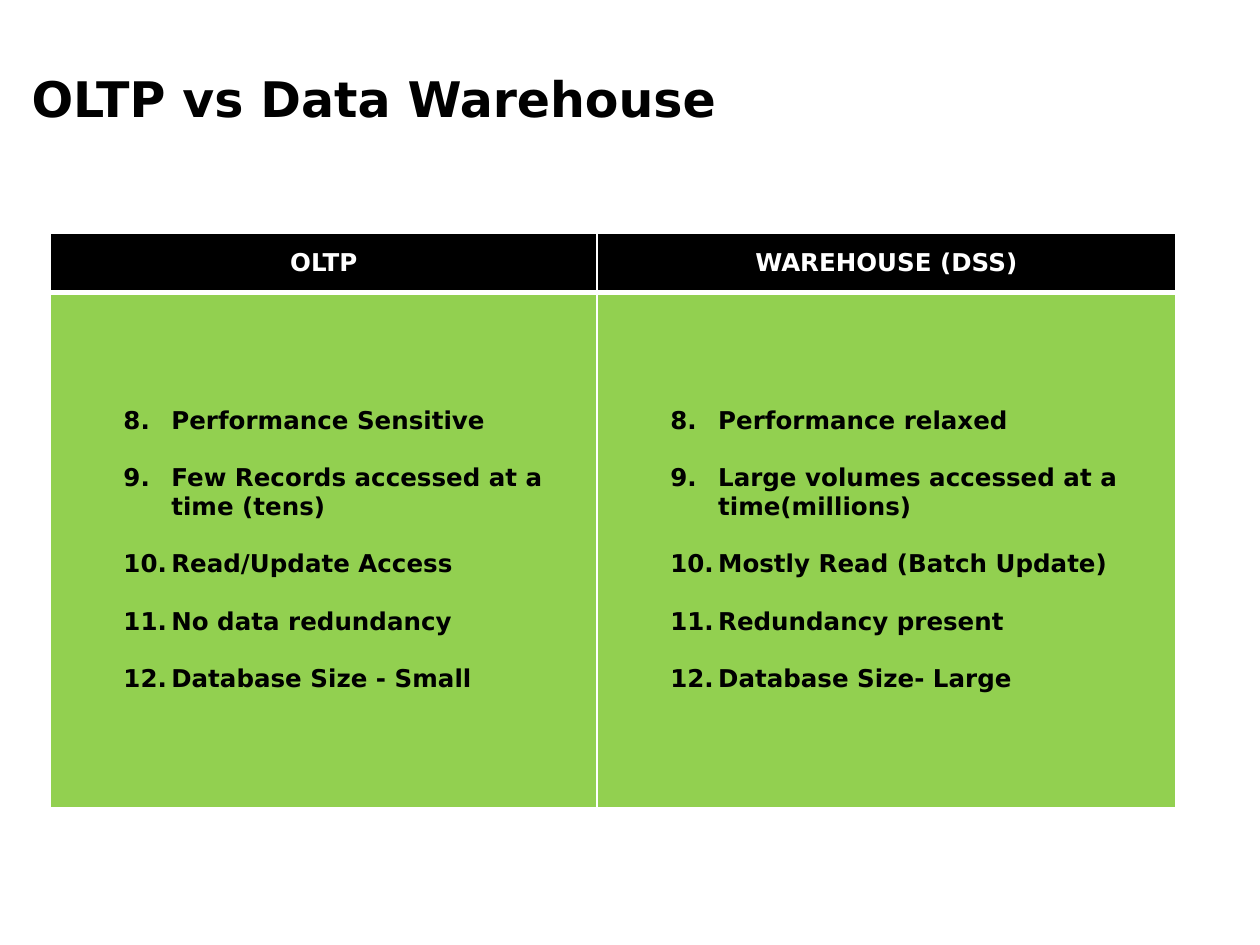
from lxml import etree
from pptx import Presentation
from pptx.dml.color import RGBColor
from pptx.enum.text import MSO_ANCHOR, MSO_AUTO_SIZE, PP_ALIGN
from pptx.oxml.ns import qn
from pptx.util import Emu, Inches, Pt

MIDDLE, TOP = MSO_ANCHOR.MIDDLE, MSO_ANCHOR.TOP
CENTER, LEFT = PP_ALIGN.CENTER, PP_ALIGN.LEFT
NO_AUTOFIT = MSO_AUTO_SIZE.NONE

FONT = "DejaVu Sans"
COLORS = {"ink": "000000", "paper": "FFFFFF", "body": "92D050"}
FIRST_NUMBER = 8

COLUMNS = {
    "OLTP": [
        "Performance Sensitive",
        "Few Records accessed at a time (tens)",
        "Read/Update Access",
        "No data redundancy",
        "Database Size - Small",
    ],
    "WAREHOUSE (DSS)": [
        "Performance relaxed",
        "Large volumes accessed at a time(millions)",
        "Mostly Read (Batch Update)",
        "Redundancy present",
        "Database Size- Large",
    ],
}
COLUMN_SHARES = (0.486, 0.514)
ROW_SHARES = (0.103, 0.897)


def format_text(para, size, color, align):
    para.alignment = align
    for span in para.runs:
        span.font.name = FONT
        span.font.size = Pt(size)
        span.font.bold = True
        span.font.color.rgb = RGBColor.from_string(COLORS[color])


def number_para(para):
    """Give the paragraph an automatic number with a hanging indent."""
    props = para._p.get_or_add_pPr()
    props.set("lvl", "1")
    props.set("marL", str(Inches(0.88)))
    props.set("indent", str(Inches(-0.38)))
    etree.SubElement(props, qn("a:buFont"), typeface="+mj-lt")
    etree.SubElement(props, qn("a:buAutoNum"), type="arabicPeriod",
                     startAt=str(FIRST_NUMBER))


def style_cell(cell, fill, heavy_side):
    """White borders, heavier on the side facing the other row."""
    props = cell._tc.get_or_add_tcPr()
    for side in ("lnL", "lnR", "lnT", "lnB"):
        width = Pt(3 if side == heavy_side else 1)
        line = etree.SubElement(props, qn(f"a:{side}"), w=str(width))
        paint = etree.SubElement(line, qn("a:solidFill"))
        etree.SubElement(paint, qn("a:srgbClr"), val=COLORS["paper"])
    cell.fill.solid()
    cell.fill.fore_color.rgb = RGBColor.from_string(COLORS[fill])
    cell.vertical_anchor = MIDDLE
    cell.margin_left = cell.margin_right = Inches(0.08)
    cell.margin_top = cell.margin_bottom = Inches(0.04)


def place_title(page, box, text):
    title = page.shapes.title
    title.left, title.top, title.width, title.height = box
    frame = title.text_frame
    frame.text = text
    frame.auto_size = NO_AUTOFIT
    frame.vertical_anchor = TOP
    frame.margin_left = frame.margin_right = frame.margin_bottom = 0
    frame.margin_top = Inches(0.04)
    format_text(frame.paragraphs[0], 28, "ink", LEFT)


def place_comparison(page, box, columns):
    table = page.shapes.add_table(2, len(columns), *box).table
    for column, share in zip(table.columns, COLUMN_SHARES):
        column.width = Emu(int(box[2] * share))
    for row, share in zip(table.rows, ROW_SHARES):
        row.height = Emu(int(box[3] * share))

    for index, (heading, points) in enumerate(columns.items()):
        # Heading
        head = table.cell(0, index)
        style_cell(head, "ink", "lnB")
        head.text_frame.text = heading
        format_text(head.text_frame.paragraphs[0], 14, "paper", CENTER)

        # Numbered points, one line apart
        body = table.cell(1, index)
        style_cell(body, "body", "lnT")
        body.text_frame.text = "\n".join(points)
        for position, para in enumerate(body.text_frame.paragraphs):
            para.space_before = Pt(16.4 if position else 0)
            number_para(para)
            format_text(para, 14, "ink", LEFT)


def main():
    deck = Presentation()
    deck.slide_width, deck.slide_height = Inches(10), Inches(7.5)
    page = deck.slides.add_slide(deck.slide_layouts[5])

    title_box = [Inches(n) for n in (0.25, 0.5, 9.23, 0.76)]
    table_box = [Inches(n) for n in (0.4, 1.85, 8.93, 4.56)]
    place_title(page, title_box, "OLTP vs Data Warehouse")
    place_comparison(page, table_box, COLUMNS)
    deck.save("out.pptx")


if __name__ == "__main__":
    main()
